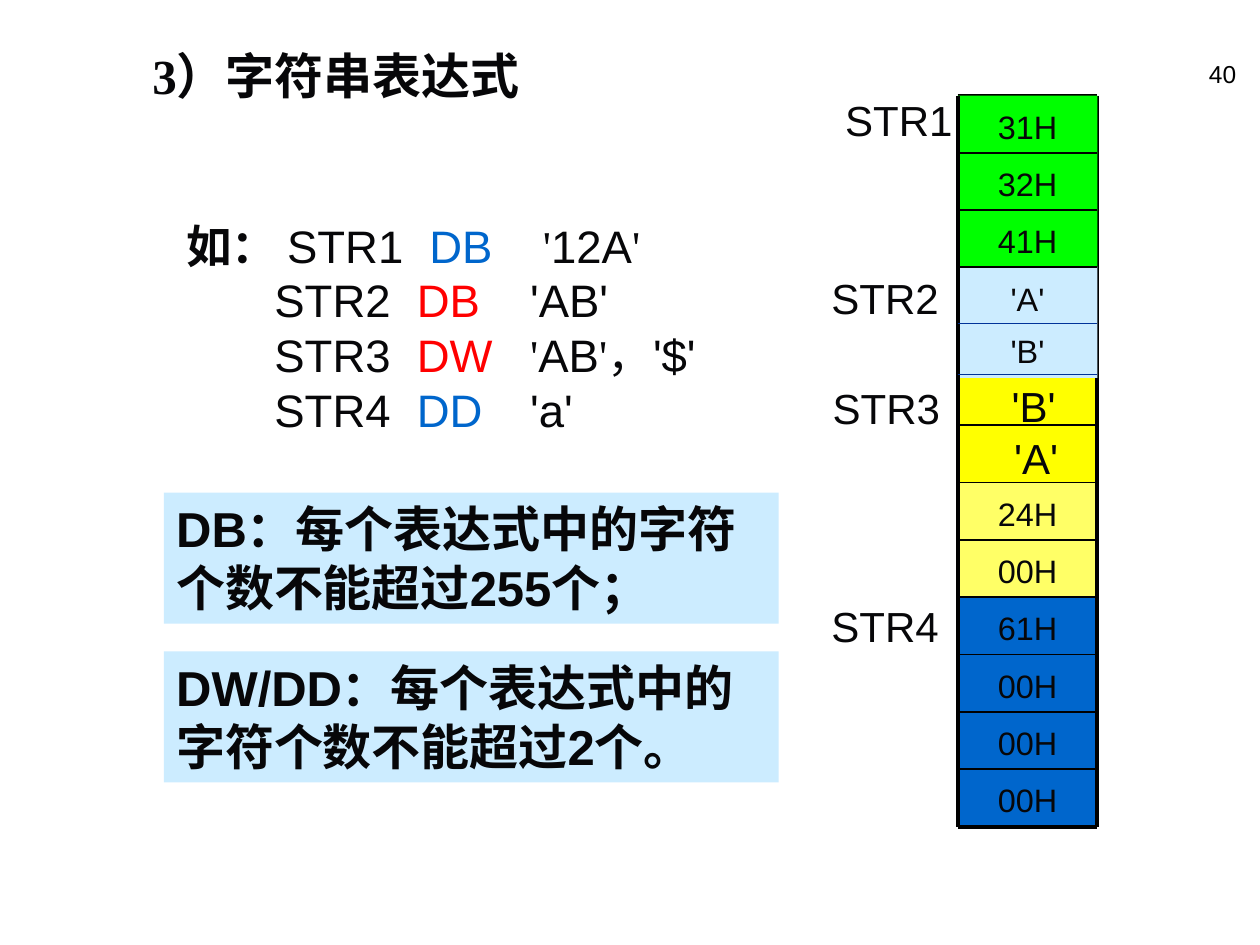
import pptx
import pptx.util
import pptx.dml.color
import pptx.enum.shapes
import pptx.enum.text
import pptx.oxml.ns
import lxml.etree

Inches, Pt = pptx.util.Inches, pptx.util.Pt
ALIGN = pptx.enum.text.PP_ALIGN
ANCHOR = pptx.enum.text.MSO_ANCHOR
SERIF, INK, BLACK = "Times New Roman", "070709", "000000"
BLUE, RED, PALE, NAVY = "0066CC", "FF0000", "CCECFF", "003399"
GREEN, YELLOW, LEMON = "00FF00", "FFFF00", "FFFF66"

TITLE = "3）字符串表达式"
PAGE = "40"
NOTES = [
    (3.91, "DB：每个表达式中的字符个数不能超过255个；"),
    (5.17, "DW/DD：每个表达式中的字符个数不能超过2个。"),
]
# Lead word, name, directive, its colour, value as (text, font) runs
CODE = [
    ("如：", "STR1", "DB", BLUE, [("'", SERIF), ("12A", "Arial"), ("'", SERIF)]),
    ("", "STR2", "DB", RED, [("'AB'", "Arial")]),
    ("", "STR3", "DW", RED,
     [("'", SERIF), ("AB", "Arial"), ("'", SERIF), ("，'$'", "Arial")]),
    ("", "STR4", "DD", BLUE, [("'a'", "Arial")]),
]
STOPS = [0.7, 1.83, 2.73]
LABELS = [("STR1", 6.61, 0.7), ("STR2", 6.5, 2.11), ("STR3", 6.51, 2.99),
          ("STR4", 6.5, 4.72), ("'B'", 7.93, 2.97), ("'A'", 7.95, 3.38)]

# Memory column: top cells and bottom cells each have an even pitch
LEFT, WIDE, TOP, END = 7.6, 1.11, 0.76, 6.56
RIGHT = LEFT + WIDE
HIGH, LOW = 0.453, 0.455
MID = END - 6 * LOW
TOP_CELLS = ["31H", "32H", "41H"]
LOW_CELLS = [("24H", LEMON), ("00H", LEMON), ("61H", BLUE),
             ("00H", BLUE), ("00H", BLUE), ("00H", BLUE)]


def paint(color, code):
    color.rgb = pptx.dml.color.RGBColor.from_string(code)


def add_run(para, text, size, code=INK, font="Arial", bold=False):
    run = para.add_run()
    run.text = text
    run.font.size, run.font.name, run.font.bold = Pt(size), font, bold
    paint(run.font.color, code)


def set_frame(shape, wrap=True, anchor=ANCHOR.TOP):
    frame = shape.text_frame
    frame.word_wrap = wrap
    frame.auto_size = pptx.enum.text.MSO_AUTO_SIZE.NONE
    frame.vertical_anchor = anchor
    return frame


def add_text(slide, x, y, w, h, wrap=True):
    box = slide.shapes.add_textbox(Inches(x), Inches(y), Inches(w), Inches(h))
    return set_frame(box, wrap)


def add_rect(slide, x, y, w, h, code, anchor=ANCHOR.MIDDLE):
    rect = slide.shapes.add_shape(
        pptx.enum.shapes.MSO_SHAPE.RECTANGLE,
        Inches(x), Inches(y), Inches(w), Inches(h))
    rect.shadow.inherit = False
    rect.fill.solid()
    paint(rect.fill.fore_color, code)
    rect.line.fill.background()
    return set_frame(rect, anchor=anchor)


def add_cell(slide, y, h, code, words):
    frame = add_rect(slide, LEFT, y, WIDE, h, code)
    for i, word in enumerate(words):
        para = frame.add_paragraph() if i else frame.paragraphs[0]
        para.alignment, para.line_spacing = ALIGN.CENTER, 1.1
        if i:
            para.space_before = Pt(5)
        add_run(para, word, 18.5)


def add_line(slide, x1, y1, x2, y2, width, code=BLACK):
    line = slide.shapes.add_connector(
        pptx.enum.shapes.MSO_CONNECTOR.STRAIGHT,
        Inches(x1), Inches(y1), Inches(x2), Inches(y2))
    line.line.width = Pt(width)
    paint(line.line.color, code)
    props = line._element.spPr
    lxml.etree.SubElement(props, pptx.oxml.ns.qn("a:effectLst"))


def add_tabs(para, stops):
    qn = pptx.oxml.ns.qn
    tabs = lxml.etree.SubElement(para._p.get_or_add_pPr(), qn("a:tabLst"))
    for stop in stops:
        lxml.etree.SubElement(tabs, qn("a:tab"), pos=str(Inches(stop)), algn="l")


def add_code(slide):
    frame = add_text(slide, 1.38, 1.68, 4.9, 1.84)
    for i, (lead, name, kind, code, value) in enumerate(CODE):
        para = frame.add_paragraph() if i else frame.paragraphs[0]
        shift = 0.1 if lead else 0
        add_tabs(para, [stop + shift for stop in STOPS])
        if lead:
            add_run(para, lead, 26, bold=True)
        add_run(para, "\t" + name + "\t", 26)
        add_run(para, kind + "\t", 26, code)
        for text, font in value:
            add_run(para, text, 26, font=font)


def add_column(slide):
    split = TOP + 3 * HIGH
    add_cell(slide, 3, MID - 3, YELLOW, [])
    for i, (word, code) in enumerate(LOW_CELLS):
        add_cell(slide, MID + i * LOW, LOW, code, [word])
    add_line(slide, LEFT, TOP, RIGHT, TOP, 2.25)
    add_line(slide, RIGHT, TOP, RIGHT, END, 2.25)
    for i, word in enumerate(TOP_CELLS):
        add_cell(slide, TOP + i * HIGH, HIGH, GREEN, [word])
    add_cell(slide, split, 3 - split, PALE, ["'A'", "'B'"])

    rows = [TOP + i * HIGH for i in range(1, 4)]
    rows += [MID + i * LOW for i in range(-1, 6)]
    for y in rows:
        add_line(slide, LEFT, y, RIGHT, y, 1)
    add_line(slide, LEFT, END, RIGHT, END, 2.25)
    add_line(slide, LEFT, TOP, LEFT, END, 2.25)
    for y in (2.57, 2.97):
        add_line(slide, LEFT, y, RIGHT, y, 0.75, NAVY)


def main():
    deck = pptx.Presentation()
    deck.slide_width, deck.slide_height = Inches(10), Inches(7.5)
    slide = deck.slides.add_slide(deck.slide_layouts[5])

    title = slide.shapes.title
    title.left, title.top = Inches(1.11), Inches(0.31)
    title.width, title.height = Inches(3.2), Inches(0.57)
    para = set_frame(title, wrap=False).paragraphs[0]
    para.alignment = ALIGN.LEFT
    add_run(para, TITLE, 28, font=SERIF, bold=True)

    para = add_text(slide, 7.83, 0.42, 2.08, 0.5).paragraphs[0]
    para.alignment = ALIGN.RIGHT
    add_run(para, PAGE, 14, BLACK)

    add_code(slide)
    for y, text in NOTES:
        frame = add_rect(slide, 1.3, y, 4.88, 1.04, PALE, ANCHOR.TOP)
        frame.paragraphs[0].alignment = ALIGN.LEFT
        add_run(frame.paragraphs[0], text, 28, bold=True)
    add_column(slide)
    for text, x, y in LABELS:
        wide = 1.05 if text.startswith("STR") else 0.55
        frame = add_text(slide, x, y, wide, 0.5, wrap=False)
        add_run(frame.paragraphs[0], text, 24)
    deck.save("out.pptx")


if __name__ == "__main__":
    main()
